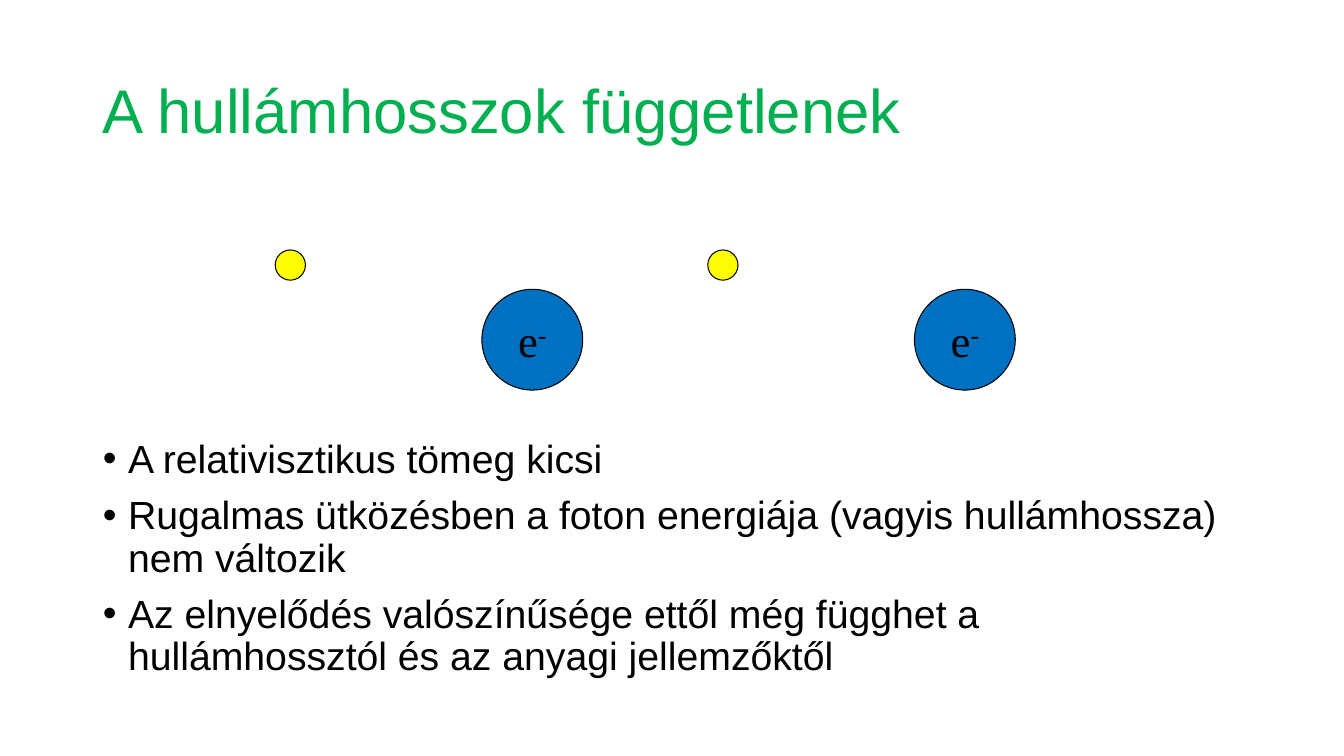
"""Build a slide on photons scattering from electrons with unchanged wavelength."""
from dataclasses import dataclass

from lxml import etree
from pptx import Presentation
from pptx.dml.color import RGBColor
from pptx.enum.shapes import MSO_SHAPE
from pptx.enum.text import MSO_ANCHOR, MSO_AUTO_SIZE, PP_ALIGN
from pptx.oxml.ns import qn
from pptx.util import Inches, Pt

OVAL = MSO_SHAPE.OVAL
TOP, MIDDLE = MSO_ANCHOR.TOP, MSO_ANCHOR.MIDDLE
NO_AUTOFIT = MSO_AUTO_SIZE.NONE
LEFT, CENTER = PP_ALIGN.LEFT, PP_ALIGN.CENTER

GREEN = RGBColor(0x00, 0xB0, 0x50)
BLUE = RGBColor(0x00, 0x70, 0xC0)
YELLOW = RGBColor(0xFE, 0xFE, 0x00)
BLACK = RGBColor(0x00, 0x00, 0x00)

TITLE_FONT = {"name": "Arial", "size": Pt(44)}
BODY_FONT = {"name": "Arial", "size": Pt(28)}
SYMBOL_FONT = {"name": "Times New Roman", "size": Pt(32)}

TITLE = "A hullámhosszok függetlenek"
CONCLUSIONS = (
    "A relativisztikus tömeg kicsi",
    "Rugalmas ütközésben a foton energiája (vagyis hullámhossza) nem változik",
    "Az elnyelődés valószínűsége ettől még függhet a hullámhossztól és az anyagi jellemzőktől",
)


@dataclass(frozen=True)
class Particle:
    """A round particle of a collision, with an optional charge symbol."""
    left: float
    top: float
    diameter: float
    color: RGBColor
    symbol: str = ""
    charge: str = ""


ELECTRON = Particle(4.78, 2.87, 1, BLUE, "e", "-")
PHOTON = Particle(2.73, 2.48, 0.3, YELLOW)
COLLISION_OFFSETS = (0, 4.29)


def set_attributes(target, values: dict) -> None:
    """Set each named attribute on the target."""
    for name, value in values.items():
        setattr(target, name, value)


def format_font(font, values: dict, color: RGBColor) -> None:
    """Apply font values and a colour."""
    set_attributes(font, values)
    font.color.rgb = color


def place(placeholder, left: float, top: float, width: float, height: float, anchor) -> None:
    """Move a placeholder and fix its text frame."""
    set_attributes(placeholder, {"left": Inches(left), "top": Inches(top),
                                 "width": Inches(width), "height": Inches(height)})
    set_attributes(placeholder.text_frame, {"auto_size": NO_AUTOFIT, "word_wrap": True,
                                            "vertical_anchor": anchor})


def fill_title(title) -> None:
    """Write the slide title."""
    place(title, 0.92, 0.4, 11.5, 1.45, MIDDLE)
    heading = title.text_frame.paragraphs[0]
    heading.text = TITLE
    set_attributes(heading, {"alignment": LEFT, "line_spacing": 0.9})
    format_font(heading.font, TITLE_FONT, GREEN)


def fill_conclusions(body) -> None:
    """Write the bulleted conclusions."""
    place(body, 0.92, 4.31, 11.5, 2.45, TOP)
    body.text_frame.text = "\n".join(CONCLUSIONS)
    for index, conclusion in enumerate(body.text_frame.paragraphs):
        properties = conclusion._p.get_or_add_pPr()
        properties.set("marL", str(Inches(0.25)))
        properties.set("indent", str(Inches(-0.25)))
        etree.SubElement(properties, qn("a:buFont")).set("typeface", "Arial")
        etree.SubElement(properties, qn("a:buChar")).set("char", "•")
        set_attributes(conclusion, {"line_spacing": 0.9,
                                    "space_before": Pt(10 if index else 0)})
        format_font(conclusion.font, BODY_FONT, BLACK)


def draw_particle(slide, particle: Particle, offset: float) -> None:
    """Draw one particle, shifted right by the offset."""
    size = Inches(particle.diameter)
    circle = slide.shapes.add_shape(OVAL, Inches(particle.left + offset),
                                    Inches(particle.top), size, size)
    circle.shadow.inherit = False
    circle.fill.solid()
    circle.fill.fore_color.rgb = particle.color
    circle.line.color.rgb = BLACK
    circle.line.width = Pt(0.75)
    if particle.symbol:
        set_attributes(circle.text_frame, {"word_wrap": False, "vertical_anchor": MIDDLE})
        label = circle.text_frame.paragraphs[0]
        label.alignment = CENTER
        for text in (particle.symbol, particle.charge):
            run = label.add_run()
            run.text = text
            format_font(run.font, SYMBOL_FONT, BLACK)
        run._r.get_or_add_rPr().set("baseline", "30000")


def main() -> None:
    """Create and save the presentation."""
    presentation = Presentation()
    presentation.slide_width = Inches(13.33)
    presentation.slide_height = Inches(7.5)
    slide = presentation.slides.add_slide(presentation.slide_layouts[1])
    fill_title(slide.shapes.title)
    fill_conclusions(slide.placeholders[1])
    for offset in COLLISION_OFFSETS:
        for particle in (ELECTRON, PHOTON):
            draw_particle(slide, particle, offset)
    presentation.save("out.pptx")


if __name__ == "__main__":
    main()
